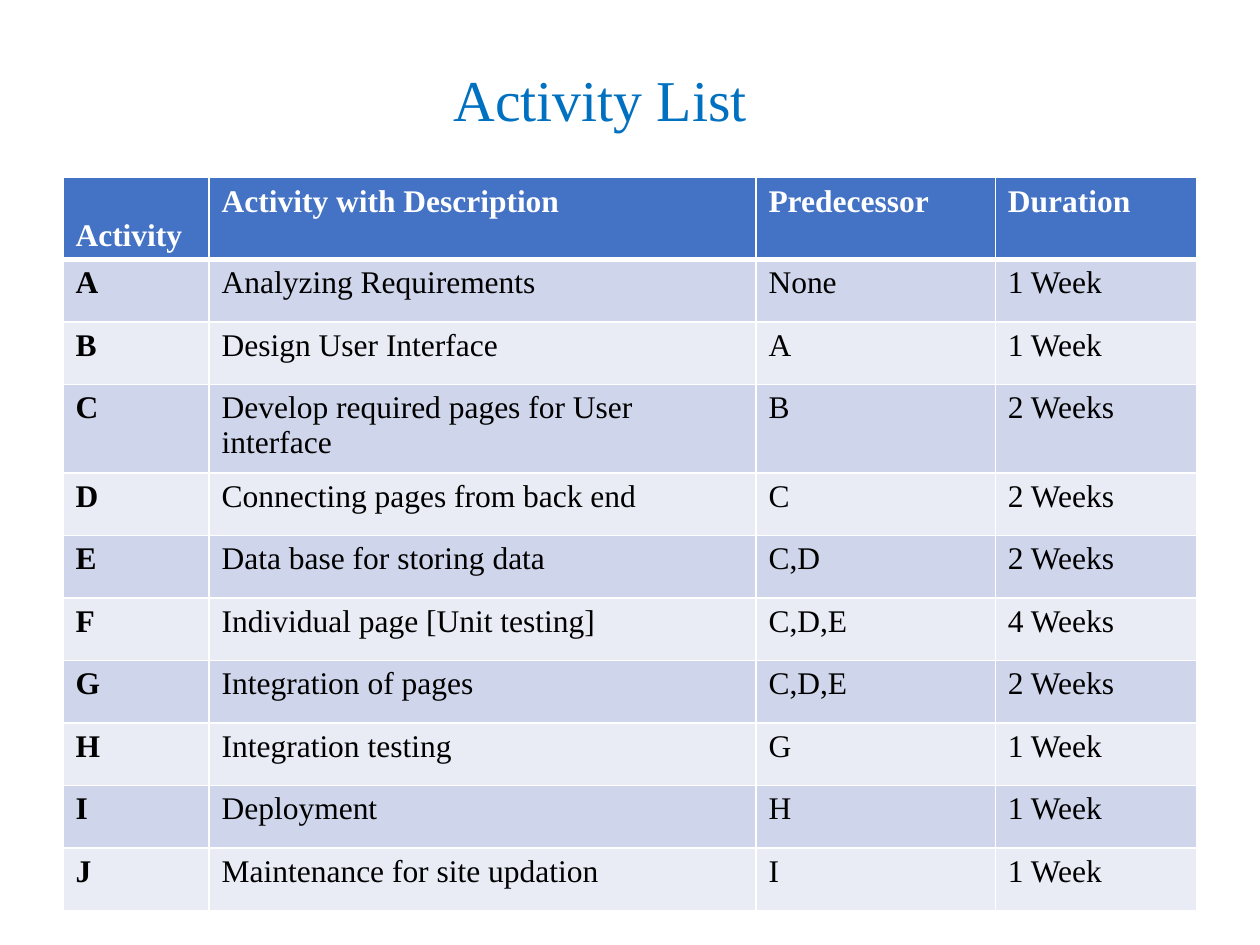
import lxml.etree
import pptx
import pptx.dml.color
import pptx.enum.text
import pptx.oxml.ns
import pptx.util

Inches = pptx.util.Inches
FONT = "Times New Roman"
HEADINGS = ("Activity", "Activity with Description", "Predecessor", "Duration")
ACTIVITIES = (
    ("A", "Analyzing Requirements", "None", "1 Week"),
    ("B", "Design User Interface", "A", "1 Week"),
    ("C", "Develop required pages for User interface", "B", "2 Weeks"),
    ("D", "Connecting pages from back end", "C", "2 Weeks"),
    ("E", "Data base for storing data", "C,D", "2 Weeks"),
    ("F", "Individual page [Unit testing]", "C,D,E", "4 Weeks"),
    ("G", "Integration of pages", "C,D,E", "2 Weeks"),
    ("H", "Integration testing", "G", "1 Week"),
    ("I", "Deployment", "H", "1 Week"),
    ("J", "Maintenance for site updation", "I", "1 Week"),
)
COLUMN_WIDTHS = (1.16, 4.34, 1.9, 1.6)
TWO_LINE_HEIGHT = 0.65


def rgb(color):
    """Return the colour for a hex string."""
    return pptx.dml.color.RGBColor.from_string(color)


def add_run(paragraph, text, size, color, bold=False):
    """Add one formatted run to a paragraph."""
    run = paragraph.add_run()
    run.text = text
    run.font.name = FONT
    run.font.size = pptx.util.Pt(size)
    run.font.bold = bold
    run.font.color.rgb = rgb(color)


def set_borders(cell, color, bottom_width):
    """Draw the four borders of a cell ahead of its fill."""
    properties = cell._tc.get_or_add_tcPr()
    widths = {"a:lnL": 1, "a:lnR": 1, "a:lnT": 1, "a:lnB": bottom_width}
    for position, (tag, width) in enumerate(widths.items()):
        line = lxml.etree.Element(pptx.oxml.ns.qn(tag), w=str(pptx.util.Pt(width)))
        fill = lxml.etree.SubElement(line, pptx.oxml.ns.qn("a:solidFill"))
        lxml.etree.SubElement(fill, pptx.oxml.ns.qn("a:srgbClr"), val=color)
        properties.insert(position, line)


def add_title(slide, left, top, width, height):
    """Place the title, inset from the left of its box."""
    shape = slide.shapes.add_textbox(Inches(left), Inches(top), Inches(width), Inches(height))
    frame = shape.text_frame
    frame.word_wrap = True
    frame.vertical_anchor = pptx.enum.text.MSO_ANCHOR.MIDDLE
    frame.margin_left = Inches(3.41)
    paragraph = frame.paragraphs[0]
    paragraph.line_spacing = 0.9
    add_run(paragraph, "Activity List", 33, "0070C0")


def add_activity_table(slide, left, top, width, height):
    """Place the table with a heading row and banded activity rows."""
    rows = (HEADINGS,) + ACTIVITIES
    shape = slide.shapes.add_table(
        len(rows), len(HEADINGS), Inches(left), Inches(top), Inches(width), Inches(height))
    table = shape.table
    for column, column_width in zip(table.columns, COLUMN_WIDTHS):
        column.width = Inches(column_width)
    for row_index, values in enumerate(rows):
        heading = row_index == 0
        two_lines = heading or values[0] == "C"
        table.rows[row_index].height = Inches(TWO_LINE_HEIGHT if two_lines else height / len(rows))
        band = "4472C4" if heading else ("E9EBF5", "CFD5EA")[row_index % 2]
        for column_index, text in enumerate(values):
            cell = table.cell(row_index, column_index)
            cell.fill.solid()
            cell.fill.fore_color.rgb = rgb(band)
            set_borders(cell, "FFFFFF", 3 if heading else 1)
            add_run(cell.text_frame.paragraphs[0], text, 18,
                    "FFFFFF" if heading else "000000", heading or column_index == 0)
    table.cell(0, 0).vertical_anchor = pptx.enum.text.MSO_ANCHOR.BOTTOM


def main():
    """Build and save the presentation."""
    presentation = pptx.Presentation()
    presentation.slide_width = Inches(10)
    presentation.slide_height = Inches(7.5)
    slide = presentation.slides.add_slide(presentation.slide_layouts[6])
    add_title(slide, 0.19, 0.48, 9, 0.67)
    add_activity_table(slide, 0.5, 1.41, 9, 5.46)
    presentation.save("out.pptx")


if __name__ == "__main__":
    main()
